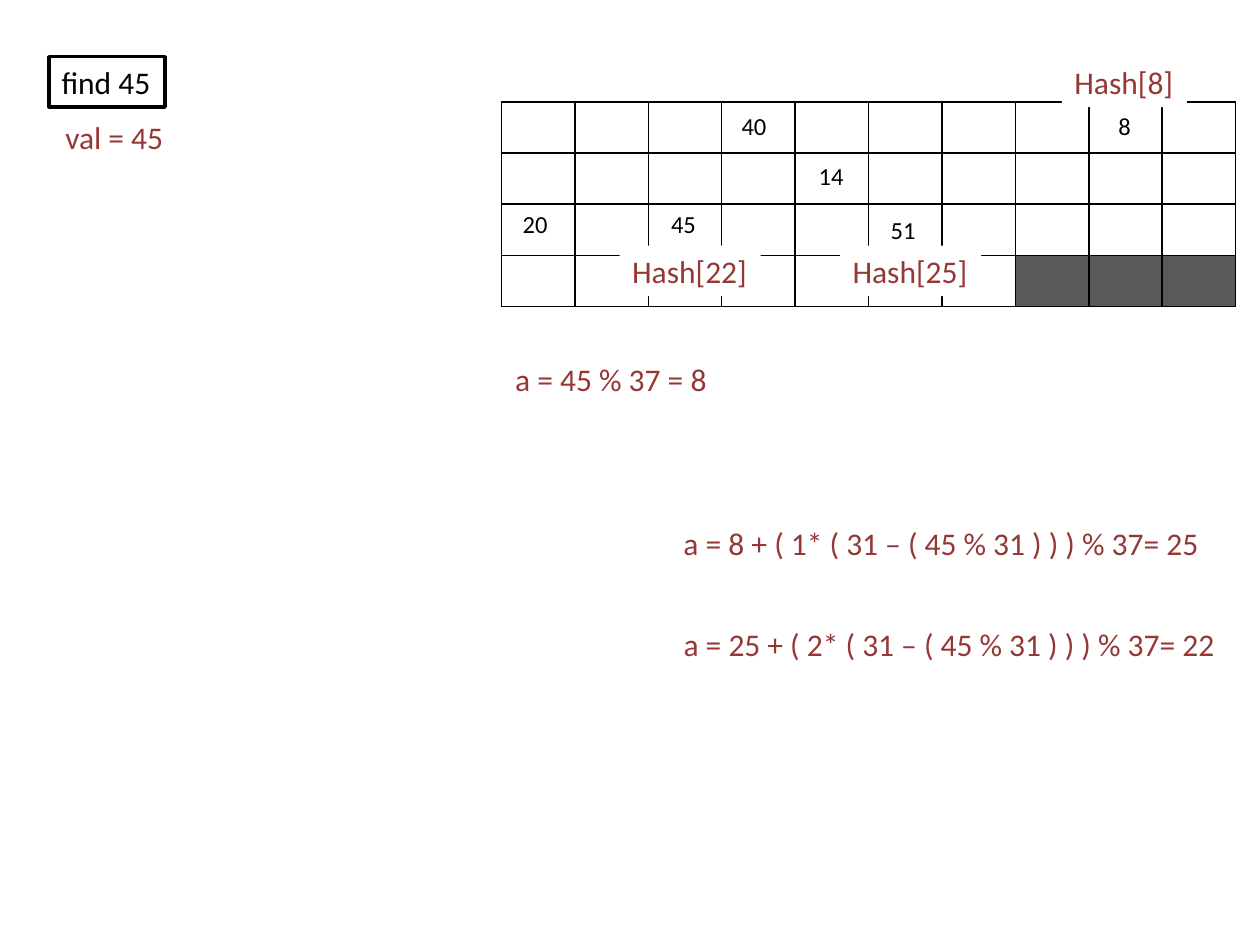
import pptx
import pptx.util
import pptx.dml.color
import pptx.enum.text
import pptx.oxml
import pptx.oxml.ns

WIDE, HIGH = 10, 7.5
COLS, ROWS = 100, 75
HUES = {"ink": "000000", "red": "953735", "gray": "595959", "white": "FFFFFF"}
NUM = {"size": pptx.util.Pt(14), "name": "Calibri"}
WORD = {"size": pptx.util.Pt(18), "name": "Calibri"}


def hue(key):
    return pptx.dml.color.RGBColor.from_string(HUES[key])


def apply(thing, form):
    for key, value in form.items():
        setattr(thing, key, value)


def place(box):
    x, y, w, h = box
    dx, dy = WIDE / COLS, HIGH / ROWS
    return [pptx.util.Inches(n) for n in (x * dx, y * dy, w * dx, h * dy)]


def label(slide, box, text, form, tone="red", fill=None, edge=None):
    shape = slide.shapes.add_textbox(*place(box))
    apply(shape.text_frame, {
        "word_wrap": fill is None,
        "auto_size": pptx.enum.text.MSO_AUTO_SIZE.SHAPE_TO_FIT_TEXT,
    })
    if fill:
        shape.fill.solid()
        shape.fill.fore_color.rgb = hue(fill)
    if edge:
        shape.line.color.rgb = hue(edge)
        shape.line.width = pptx.util.Pt(2)
    run = shape.text_frame.paragraphs[0].add_run()
    run.text = text
    apply(run.font, form)
    run.font.color.rgb = hue(tone)


def frame(cell):
    props = cell._tc.get_or_add_tcPr()
    for spot, side in enumerate(("lnL", "lnR", "lnT", "lnB")):
        line = pptx.oxml.parse_xml(
            f'<a:{side} {pptx.oxml.ns.nsdecls("a")} w="12700"><a:solidFill>'
            f'<a:srgbClr val="{HUES["ink"]}"/></a:solidFill></a:{side}>')
        props.insert(spot, line)


def hashes(slide, box):
    x, y, w, h = box
    wide, high = 10, 4
    cw, ch = w / wide, h / high
    table = slide.shapes.add_table(high, wide, *place(box)).table
    apply(table, {"first_row": False, "horz_banding": False})
    for r in range(high):
        for c in range(wide):
            cell = table.cell(r, c)
            if r == high - 1 and c >= 7:
                cell.fill.solid()
                cell.fill.fore_color.rgb = hue("gray")
            else:
                cell.fill.background()
            frame(cell)

    def spot(col, row, span, tall):
        return x + col * cw, y + row * ch, span * cw, tall * ch

    for text, col, row, span in (
            ("14", 4.15, 1.05, 0.69), ("20", 0.12, 2, 0.69),
            ("8", 8.23, 0.05, 0.5), ("40", 3.1, 0.05, 0.69),
            ("45", 2.14, 2, 0.69), ("51", 5.13, 2.12, 0.69)):
        label(slide, spot(col, row, span, 0.85), text, NUM, "ink")
    for text, col, row, span in (
            ("Hash[8]", 7.63, -0.9, 1.7), ("Hash[25]", 4.61, 2.85, 1.92),
            ("Hash[22]", 1.61, 2.85, 1.92)):
        label(slide, spot(col, row, span, 1), text, WORD, fill="white")


def query(slide, box):
    x, y, w, h = box
    label(slide, (x, y, w, h), "find 45", WORD, "ink", "white", "ink")
    label(slide, (x + 0.3, y + 1.1 * h, w + 0.7, h), "val = 45", WORD, fill="white")


def steps(slide, box):
    x, y, w, h = box
    for text, dx, dy, span in (
            ("a = 45 % 37 = 8", 0, 0, 0.3),
            ("a = 8 + ( 1* ( 31 – ( 45 % 31 ) ) ) % 37= 25", 0.23, 0.52, 0.75),
            ("a = 25 + ( 2* ( 31 – ( 45 % 31 ) ) ) % 37= 22", 0.23, 0.84, 0.77)):
        label(slide, (x + dx * w, y + dy * h, span * w, 4), text, WORD, fill="white")


def main():
    deck = pptx.Presentation()
    apply(deck, {"slide_width": pptx.util.Inches(WIDE),
                 "slide_height": pptx.util.Inches(HIGH)})
    slide = deck.slides.add_slide(deck.slide_layouts[6])
    hashes(slide, (39.8, 8.1, 58.3, 16))
    query(slide, (3.9, 4.5, 9.2, 4))
    steps(slide, (39.9, 28.1, 58.1, 25))
    deck.save("out.pptx")


if __name__ == "__main__":
    main()
